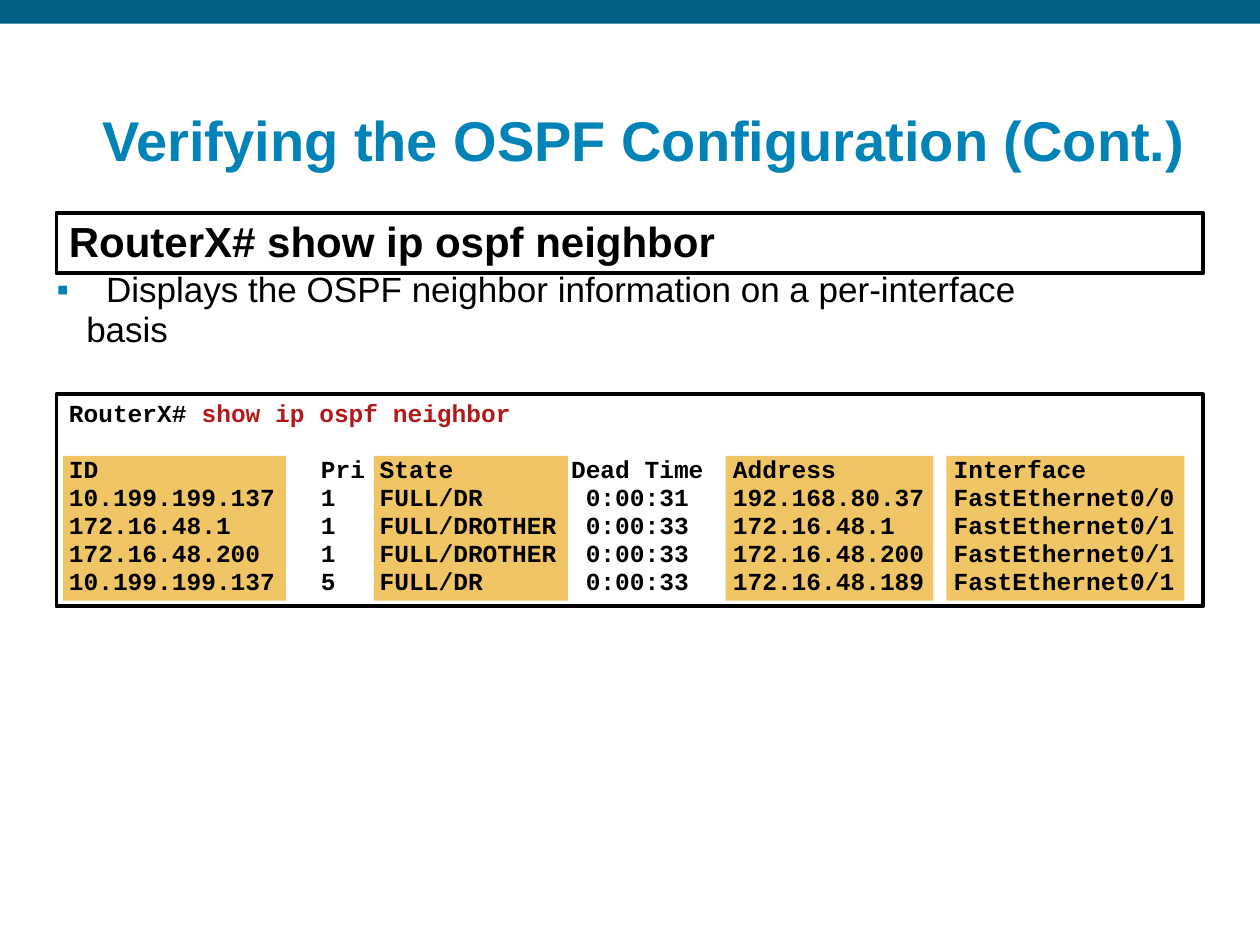
from lxml.etree import SubElement
from pptx import Presentation
from pptx.dml.color import RGBColor
from pptx.enum.shapes import MSO_SHAPE
from pptx.enum.text import MSO_ANCHOR, PP_ALIGN
from pptx.oxml.ns import qn
from pptx.util import Cm, Pt

COLORS = {"bar": "015F85", "title": "0183B7", "text": "000000",
          "command": "B21A1A", "highlight": "F0C566"}

OUTPUT = [
    "ID\tPri State        Dead Time  Address        Interface",
    "10.199.199.137\t1   FULL/DR       0:00:31   192.168.80.37  FastEthernet0/0",
    "172.16.48.1\t1   FULL/DROTHER  0:00:33   172.16.48.1    FastEthernet0/1",
    "172.16.48.200\t1   FULL/DROTHER  0:00:33   172.16.48.200  FastEthernet0/1",
    "10.199.199.137\t5   FULL/DR       0:00:33   172.16.48.189  FastEthernet0/1",
]


class SlideBuilder:
    sans, mono = "Arial", "Courier New"

    def __init__(self, slide):
        self.s = slide

    def color(self, name):
        return RGBColor.from_string(COLORS[name])

    def style(self, r, size, color="text", bold=True, font=sans):
        r.font.name, r.font.size, r.font.bold = font, Pt(size), bold
        r.font.color.rgb = self.color(color)

    def tab_stop(self, p, pos):
        tabs = SubElement(p._p.get_or_add_pPr(), qn("a:tabLst"))
        SubElement(tabs, qn("a:tab"), pos=str(Cm(pos)), algn="l")

    def rect(self, x, y, w, h, fill=None):
        """A filled block, or a black outline when no fill is given."""
        sp = self.s.shapes.add_shape(MSO_SHAPE.RECTANGLE, Cm(x), Cm(y), Cm(w), Cm(h))
        sp.shadow.inherit = False
        if fill:
            sp.fill.solid()
            sp.fill.fore_color.rgb = self.color(fill)
            sp.line.fill.background()
        else:
            sp.fill.background()
            sp.line.color.rgb = self.color("text")
            sp.line.width = Pt(2.25)
        return sp

    def text(self, x, y, w, h, text, size, color="text", bold=True,
             anchor=MSO_ANCHOR.TOP, margins=(0, 0), spacing=0.95):
        sp = self.s.shapes.add_textbox(Cm(x), Cm(y), Cm(w), Cm(h))
        tf = sp.text_frame
        tf.word_wrap, tf.vertical_anchor = True, anchor
        tf.margin_left = tf.margin_right = Cm(margins[0])
        tf.margin_top = tf.margin_bottom = Cm(margins[1])
        p = tf.paragraphs[0]
        p.text, p.line_spacing = text, spacing
        self.style(p.runs[0], size, color, bold)
        return p

    def bullet(self, x, y, w, h, text, size, indent, first_line):
        """A square-bulleted paragraph whose first line starts at a tab stop."""
        p = self.text(x, y, w, h, "\t" + text, size, bold=False)
        pPr = p._p.get_or_add_pPr()
        pPr.set("marL", str(Cm(indent)))
        pPr.set("indent", str(-Cm(indent)))
        clr = SubElement(pPr, qn("a:buClr"))
        SubElement(clr, qn("a:srgbClr"), val=COLORS["title"])
        SubElement(pPr, qn("a:buFont"), typeface=self.sans)
        SubElement(pPr, qn("a:buChar"), char="▪")
        self.tab_stop(p, first_line)

    def command_box(self, x, y, w, h, text, size):
        sp = self.rect(x, y, w, h)
        p = sp.text_frame.paragraphs[0]
        p.text, p.alignment, p.line_spacing = text, PP_ALIGN.LEFT, 0.95
        self.style(p.runs[0], size)

    def terminal(self, x, y, w, h, prompt, command, lines, size, tab):
        """Monospaced output; the tab stop sets where the second column starts."""
        tf = self.rect(x, y, w, h).text_frame
        tf.word_wrap, tf.vertical_anchor = False, MSO_ANCHOR.TOP
        p = tf.paragraphs[0]
        for text, color in ((prompt, "text"), (command, "command")):
            r = p.add_run()
            r.text = text
            self.style(r, size, color, font=self.mono)
        for line in lines:
            p = tf.add_paragraph()
            p.text = line
            self.style(p.runs[0], size, font=self.mono)
            self.tab_stop(p, tab)
        for p in tf.paragraphs:
            p.alignment, p.line_spacing = PP_ALIGN.LEFT, 0.95
        tf.paragraphs[1].space_before = Pt(16)


def main():
    prs = Presentation()
    prs.slide_width, prs.slide_height = Cm(25.4), Cm(19.05)
    b = SlideBuilder(prs.slides.add_slide(prs.slide_layouts[6]))

    # Top bar and title
    b.rect(0, 0, 25.4, 0.48, "bar")
    b.text(1.83, 1.27, 22.63, 2.34, "Verifying the OSPF Configuration (Cont.)", 32,
           "title", anchor=MSO_ANCHOR.BOTTOM, margins=(0.23, 0.1), spacing=0.9)

    # Command and its purpose
    b.command_box(1.14, 4.29, 23.11, 1.22, "RouterX# show ip ospf neighbor", 24)
    b.bullet(1.14, 5.46, 20.85, 0.81,
             "Displays the OSPF neighbor information on a per-interface basis",
             20, indent=0.6, first_line=1)

    # Highlighted columns: ID, State, Address, Interface
    for x, w in ((1.27, 4.5), (7.54, 3.91), (14.63, 4.19), (19.08, 4.8)):
        b.rect(x, 9.19, w, 2.92, "highlight")

    # Router output
    b.terminal(1.14, 7.95, 23.11, 4.27, "RouterX# ", "show ip ospf neighbor",
               OUTPUT, 14, tab=5.08)

    prs.save("out.pptx")


if __name__ == "__main__":
    main()
